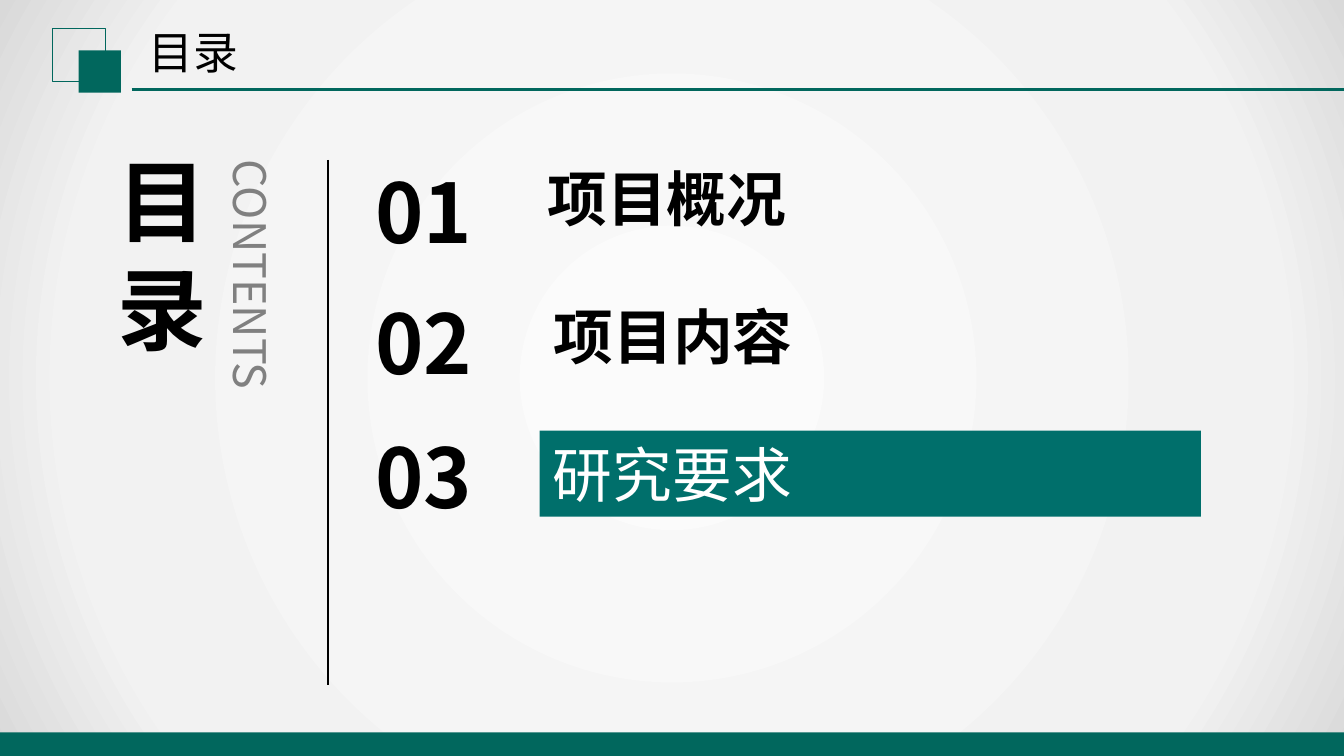
from dataclasses import dataclass

from lxml import etree
from pptx import Presentation
from pptx import util as u
from pptx.dml.color import RGBColor
from pptx.enum import shapes, text
from pptx.oxml import parse_xml
from pptx.oxml.ns import nsdecls, qn

PX = 4572  # EMU per px, at 200 px to the inch
WIDTH, HEIGHT = 2000, 1125
FOOTER_TOP = 1090
FONT = "Noto Sans CJK SC"
GREEN = RGBColor(0x01, 0x67, 0x5D)
TEAL = RGBColor(0x00, 0x6F, 0x6B)
GRAY = RGBColor(0x80, 0x80, 0x80)
BLACK = RGBColor(0x00, 0x00, 0x00)
WHITE = RGBColor(0xFF, 0xFF, 0xFF)
BACKDROP_STOPS = ((0, "FBFBFB"), (79, "F2F2F2"), (100, "D9D9D9"))


@dataclass(frozen=True)
class Box:
    left: int
    top: int
    width: int
    height: int

    def emu(self) -> tuple[int, ...]:
        return tuple(v * PX for v in (self.left, self.top, self.width, self.height))


@dataclass(frozen=True)
class Label:
    wording: str
    box: Box
    size: int
    bold: bool = False
    color: RGBColor = BLACK
    rotation: int = 0
    fill: RGBColor | None = None


def add_rectangle(slide, box: Box, fill: RGBColor | None = None,
                  line: RGBColor | None = None):
    shape = slide.shapes.add_shape(shapes.MSO_SHAPE.RECTANGLE, *box.emu())
    shape.shadow.inherit = False
    if fill is None:
        shape.fill.background()
    else:
        shape.fill.solid()
        shape.fill.fore_color.rgb = fill
    if line is None:
        shape.line.fill.background()
    else:
        shape.line.color.rgb = line
        shape.line.width = u.Pt(0.75)
    return shape


def add_backdrop(slide) -> None:
    shape = add_rectangle(slide, Box(0, 0, WIDTH, HEIGHT), WHITE)
    stops = "".join(
        f'<a:gs pos="{position * 1000}"><a:srgbClr val="{color}"/></a:gs>'
        for position, color in BACKDROP_STOPS)
    gradient = parse_xml(
        f'<a:gradFill {nsdecls("a")} rotWithShape="1"><a:gsLst>{stops}</a:gsLst>'
        '<a:path path="circle"><a:fillToRect l="50000" t="50000" r="50000" b="50000"/>'
        '</a:path></a:gradFill>')
    properties = shape.element.spPr
    properties.replace(properties.find(qn("a:solidFill")), gradient)


def add_line(slide, start: tuple[int, int], end: tuple[int, int],
             color: RGBColor, weight: float) -> None:
    connector = slide.shapes.add_connector(
        shapes.MSO_CONNECTOR.STRAIGHT, *(v * PX for v in start + end))
    connector.line.color.rgb = color
    connector.line.width = u.Pt(weight)
    etree.SubElement(connector.element.spPr, qn("a:effectLst"))


def add_label(slide, label: Label) -> None:
    if label.fill is None:
        shape = slide.shapes.add_textbox(*label.box.emu())
    else:
        shape = add_rectangle(slide, label.box, label.fill)
    shape.rotation = label.rotation
    frame = shape.text_frame
    frame.text = label.wording
    frame.word_wrap = True
    frame.margin_right = 0
    frame.vertical_anchor = (text.MSO_ANCHOR.MIDDLE if label.fill is not None
                             else text.MSO_ANCHOR.TOP)
    for paragraph in frame.paragraphs:
        paragraph.alignment = text.PP_ALIGN.LEFT
        paragraph.line_spacing = u.Pt(label.size * 1.2)
        for run in paragraph.runs:
            font = run.font
            font.name, font.size, font.bold = FONT, u.Pt(label.size), label.bold
            font.color.rgb = label.color
            east_asian = etree.SubElement(font._element, qn("a:ea"))
            east_asian.set("typeface", FONT)


LABELS = (
    # Contents heading
    Label("目\n录", Box(155, 208, 330, 344), 48, bold=True),
    Label("CONTENTS", Box(166, 362, 402, 114), 24, color=GRAY, rotation=90),
    # Section numbers
    *(Label(f"{number:02}", Box(539, top, 264, 168), 44, bold=True)
      for number, top in enumerate((231, 425, 625), start=1)),
    # Section names, the current one highlighted
    Label("研究要求", Box(803, 641, 984, 128), 32, color=WHITE, fill=TEAL),
    Label("项目概况", Box(795, 231, 440, 128), 32, bold=True),
    Label("项目内容", Box(804, 436, 478, 128), 32, bold=True),
    # Slide title
    Label("目录", Box(202, 27, 174, 100), 24),
)


def main() -> None:
    presentation = Presentation()
    presentation.slide_width = WIDTH * PX
    presentation.slide_height = HEIGHT * PX
    slide = presentation.slides.add_slide(presentation.slide_layouts[6])

    # Backdrop, header and footer
    add_backdrop(slide)
    add_rectangle(slide, Box(78, 42, 79, 79), line=GREEN)
    add_rectangle(slide, Box(117, 75, 63, 63), fill=GREEN)
    add_line(slide, (196, 133), (WIDTH, 133), GREEN, 1.25)
    add_rectangle(slide, Box(0, FOOTER_TOP, WIDTH, HEIGHT - FOOTER_TOP), fill=GREEN)

    # Contents list
    add_line(slide, (488, 238), (488, 1020), BLACK, 0.75)
    for label in LABELS:
        add_label(slide, label)

    presentation.save("out.pptx")


if __name__ == "__main__":
    main()
